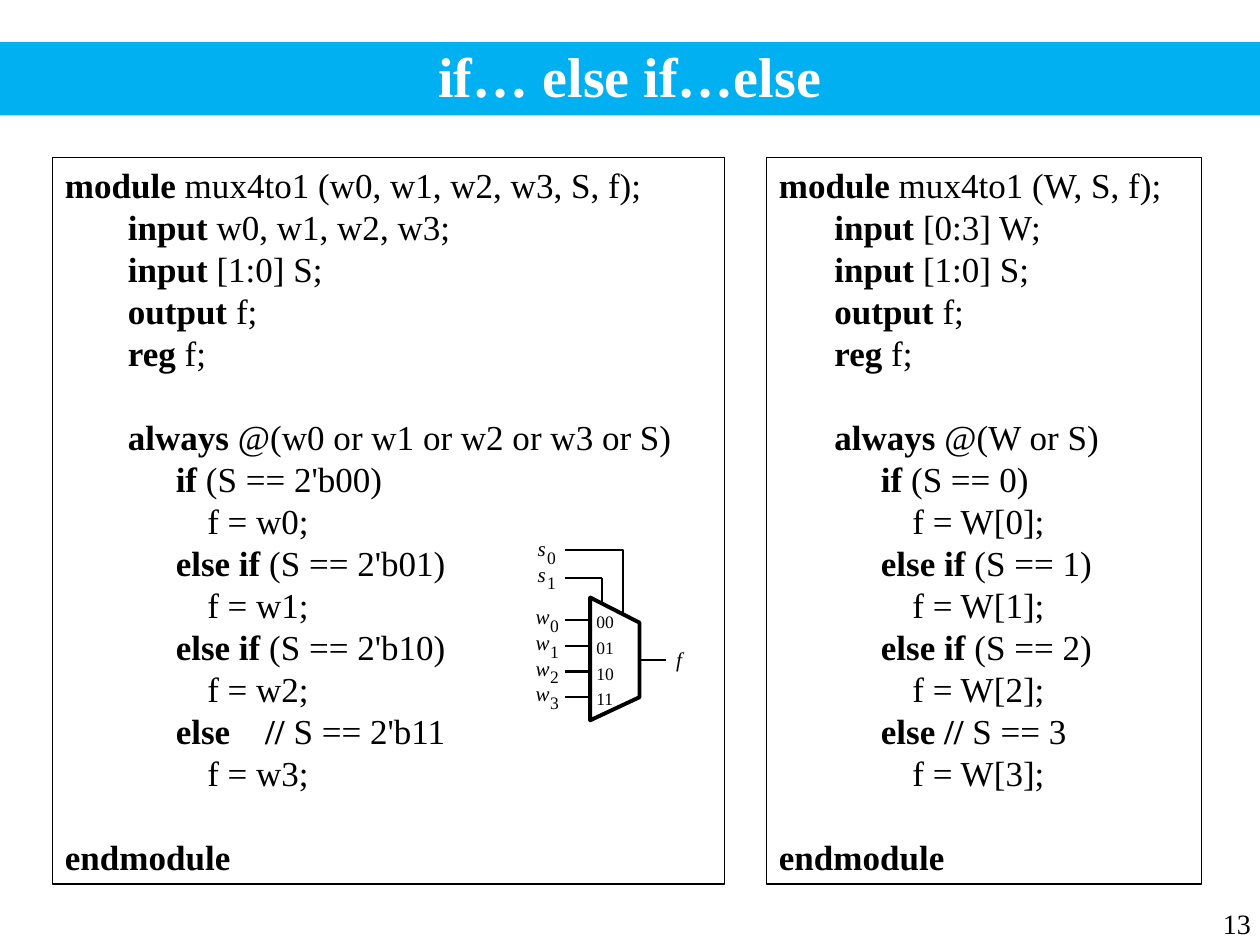
from dataclasses import dataclass

from pptx import Presentation
from pptx.dml.color import RGBColor
from pptx.enum.shapes import MSO_CONNECTOR as Link
from pptx.enum.text import MSO_ANCHOR as Anchor, MSO_AUTO_SIZE as Fit, PP_ALIGN as Align
from pptx.oxml.ns import qn
from pptx.oxml.xmlchemy import OxmlElement
from pptx.util import Inches, Pt


@dataclass(frozen=True)
class Theme:
    font: str = "Times New Roman"
    ink: RGBColor = RGBColor(0, 0, 0)
    paper: RGBColor = RGBColor(255, 255, 255)
    banner: RGBColor = RGBColor(0, 0xB0, 0xF0)
    title: int = 32
    code: int = 20
    leading: int = 24
    number: int = 16
    label: int = 12
    small: int = 10
    border: float = 0.75
    wire: float = 1.25
    outline: float = 2.25


COLUMNS, ROWS = 120, 90


class Board:
    """Draws on one slide; all lengths are cells of a 120 by 90 grid."""

    def __init__(self, deck, theme):
        self.theme = theme
        self.width, self.height = deck.slide_width, deck.slide_height
        self.page = deck.slides.add_slide(deck.slide_layouts[5])
        self.shapes = self.page.shapes

    def across(self, cells):
        return round(self.width * cells / COLUMNS)

    def down(self, cells):
        return round(self.height * cells / ROWS)

    def place(self, left, top, width, height):
        return self.across(left), self.down(top), self.across(width), self.down(height)

    def add_span(self, para, text, size, **style):
        span = para.add_run()
        span.text = text
        font = span.font
        font.color.rgb = style.pop("color", self.theme.ink)
        for name, value in dict(name=self.theme.font, size=Pt(size), **style).items():
            setattr(font, name, value)

    def title(self, text, *cells):
        box = self.page.shapes.title
        for name, value in zip(("left", "top", "width", "height"), self.place(*cells)):
            setattr(box, name, value)
        box.fill.solid()
        box.fill.fore_color.rgb = self.theme.banner
        frame = box.text_frame
        frame.auto_size, frame.vertical_anchor = Fit.NONE, Anchor.BOTTOM
        para = frame.paragraphs[0]
        para.alignment = Align.CENTER
        self.add_span(para, text, self.theme.title, bold=True, color=self.theme.paper)

    def listing(self, lines, indents, *cells):
        """Framed code; a line is (level, keyword, rest, rows left free above)."""
        box = self.shapes.add_textbox(*self.place(*cells))
        box.line.color.rgb = self.theme.ink
        box.line.width = Pt(self.theme.border)
        frame = box.text_frame
        frame.word_wrap = True
        for number, (level, keyword, rest, gap) in enumerate(lines):
            para = frame.add_paragraph() if number else frame.paragraphs[0]
            para.line_spacing = Pt(self.theme.leading)
            para.space_before = Pt(self.theme.leading * gap)
            margin = Inches(indents[level])
            para._p.get_or_add_pPr().set("marL", str(margin))
            for text, bold in ((keyword, True), (rest, False)):
                if text:
                    self.add_span(para, text, self.theme.code, bold=bold)

    def page_number(self, text, *cells):
        frame = self.shapes.add_textbox(*self.place(*cells)).text_frame
        frame.word_wrap, frame.vertical_anchor = True, Anchor.BOTTOM
        para = frame.paragraphs[0]
        para.alignment = Align.RIGHT
        self.add_span(para, text, self.theme.number)

    def label(self, text, size, left, top, width, italic=False):
        height = 2.4 if size == self.theme.label else 2
        frame = self.shapes.add_textbox(*self.place(left, top, width, height)).text_frame
        for side in ("left", "top", "right", "bottom"):
            setattr(frame, f"margin_{side}", 0)
        frame.word_wrap = False
        self.add_span(frame.paragraphs[0], text, size, italic=italic)

    def signal(self, name, index, left, top, width):
        """An italic letter with its index lowered beside it."""
        self.label(name, self.theme.label, left, top, width, italic=True)
        shift = 0.9 if name == "s" else 1.4
        self.label(index, self.theme.small, left + shift, top + 1.05, 1.3)

    def wire(self, x1, y1, x2, y2):
        wire = self.shapes.add_connector(Link.STRAIGHT, self.across(x1), self.down(y1),
                                         self.across(x2), self.down(y2))
        wire.line.color.rgb = self.theme.ink
        wire.line.width = Pt(self.theme.wire)
        wire._element.find(qn("p:spPr")).append(OxmlElement("a:effectLst"))

    def outline(self, points, weight, closed):
        points = [(self.across(x), self.down(y)) for x, y in points]
        builder = self.shapes.build_freeform(*points[0])
        builder.add_line_segments(points[1:], close=closed)
        shape = builder.convert_to_shape()
        shape.shadow.inherit = False
        shape.line.color.rgb = self.theme.ink
        shape.line.width = Pt(weight)
        if closed:
            shape.fill.solid()
            shape.fill.fore_color.rgb = self.theme.paper
        else:
            shape.fill.background()

    def multiplexer(self):
        theme, step = self.theme, 2.45
        self.shapes = self.page.shapes.add_group_shape().shapes
        self.outline([(60.9, 66.4), (60.9, 59.3), (56.2, 56.9), (56.2, 68.6)],
                     theme.outline, closed=True)
        for index, code in enumerate(("00", "01", "10", "11")):
            offset = index * step
            self.wire(53.8, 59.05 + offset, 56.2, 59.05 + offset)
            self.signal("w", str(index), 51, 57.5 + offset, 2)
            self.label(code, theme.small, 56.8, 58.2 + offset, 1.8)
        for index in range(2):
            self.signal("s", str(index), 51.2, 51 + index * step, 1.6)
        self.outline([(53.8, 52.4), (59.3, 52.4), (59.3, 58.4)], theme.wire, closed=False)
        self.wire(53.8, 55.05, 57.3, 55.05)
        self.wire(57.3, 55.05, 57.3, 57.5)
        self.wire(60.9, 62.9, 63.4, 62.9)
        self.label("f", theme.label, 64.4, 61.6, 1.1, italic=True)
        self.shapes = self.page.shapes


def module_lines(ports, data, events, values, source, last):
    """Verilog lines of a four-way multiplexer in one coding style."""
    lines = [(0, "module", f" mux4to1 ({ports}, S, f);", 0)]
    declarations = (("input", data), ("input", "[1:0] S"), ("output", "f"), ("reg", "f"))
    lines += [(1, word, f" {name};", 0) for word, name in declarations]
    lines.append((1, "always", f" @({events} or S)", 1))
    for index, value in enumerate(values):
        if index == len(values) - 1:
            branch = (2, last, f" S == {value}", 0)
        else:
            branch = (2, "else if" if index else "if", f" (S == {value})", 0)
        lines += [branch, (3, "", f"f = {source.format(index)};", 0)]
    return lines + [(0, "endmodule", "", 1)]


def main():
    deck = Presentation()
    deck.slide_width, deck.slide_height = Inches(10), Inches(7.5)
    board = Board(deck, Theme())
    board.title("if… else if…else", 0, 4, COLUMNS, 7)
    scalar = module_lines("w0, w1, w2, w3", "w0, w1, w2, w3", "w0 or w1 or w2 or w3",
                          ("2'b00", "2'b01", "2'b10", "2'b11"), "w{}", "else    //")
    vector = module_lines("W", "[0:3] W", "W", range(4), "W[{}]", "else //")
    board.listing(scalar, (0, 0.5, 0.88, 1.13), 5, 15, 64, 69.2)
    board.listing(vector, (0, 0.44, 0.81, 1.06), 73, 15, 41.4, 69.2)
    board.page_number("13", 95.3, 84.1, 25, 6)
    board.multiplexer()
    deck.save("out.pptx")


if __name__ == "__main__":
    main()
